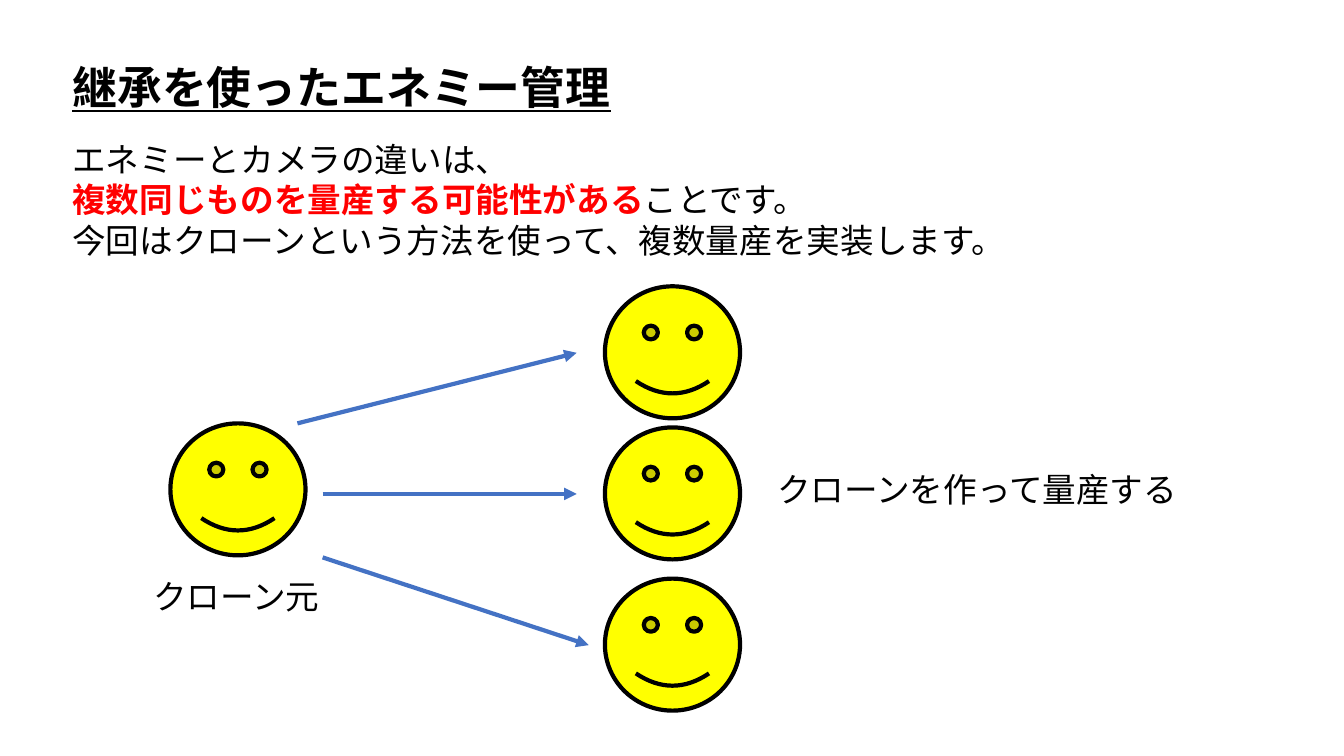
from lxml import etree
from pptx import Presentation
from pptx.dml.color import RGBColor
from pptx.enum.shapes import MSO_CONNECTOR, MSO_SHAPE
from pptx.enum.text import MSO_AUTO_SIZE
from pptx.oxml.ns import qn
from pptx.util import Inches, Pt

STRAIGHT = MSO_CONNECTOR.STRAIGHT
SMILEY = MSO_SHAPE.SMILEY_FACE
FIT_SHAPE = MSO_AUTO_SIZE.SHAPE_TO_FIT_TEXT

BLACK = RGBColor(0x00, 0x00, 0x00)
RED = RGBColor(0xFF, 0x00, 0x00)
YELLOW = RGBColor(0xFF, 0xFF, 0x00)
BLUE = RGBColor(0x44, 0x72, 0xC4)

FONT = "Noto Sans CJK JP"
LINE_WIDTH = Pt(3)
FACE_SIZE = (1.34, 1.31)

BODY = {"size": Pt(24), "name": FONT}
TITLE = {**BODY, "size": Pt(32), "bold": True, "underline": True}
EMPHASIS = {**BODY, "bold": True}

INTRODUCTION = [
    [("エネミーとカメラの違いは、", BODY, BLACK)],
    [("複数同じものを量産する可能性がある", EMPHASIS, RED),
     ("ことです。", BODY, BLACK)],
    [("今回はクローンという方法を使って、複数量産を実装します。", BODY, BLACK)],
]
ORIGINAL_FACE = (1.69, 4.2)
CLONE_LEFT = 6
CLONE_TOPS = (2.84, 4.24, 5.74)
ARROWS = [
    ((2.95, 4.2), (5.72, 3.5)),
    ((3.2, 4.9), (5.72, 4.9)),
    ((3.2, 5.53), (5.84, 6.4)),
]


def add_run(paragraph, text, font_format, color):
    run = paragraph.add_run()
    run.text = text
    for attribute, value in font_format.items():
        setattr(run.font, attribute, value)
    run.font.color.rgb = color
    # Japanese characters take their typeface from the East Asian font
    properties = run.font._element
    etree.SubElement(properties, qn("a:ea"), typeface=font_format["name"])


def add_text(slide, left, top, width, height, lines):
    """Add a text box with one paragraph for each list of runs in lines."""
    box = slide.shapes.add_textbox(
        Inches(left), Inches(top), Inches(width), Inches(height))
    frame = box.text_frame
    frame.word_wrap = False
    frame.auto_size = FIT_SHAPE
    for index, runs in enumerate(lines):
        paragraph = frame.add_paragraph() if index else frame.paragraphs[0]
        for run in runs:
            add_run(paragraph, *run)


def add_face(slide, left, top):
    width, height = FACE_SIZE
    face = slide.shapes.add_shape(
        SMILEY, Inches(left), Inches(top), Inches(width), Inches(height))
    face.shadow.inherit = False
    face.fill.solid()
    face.fill.fore_color.rgb = YELLOW
    face.line.color.rgb = BLACK
    face.line.width = LINE_WIDTH


def add_arrow(slide, start, end):
    arrow = slide.shapes.add_connector(
        STRAIGHT, *(Inches(value) for value in start + end))
    arrow.line.color.rgb = BLUE
    arrow.line.width = LINE_WIDTH
    etree.SubElement(arrow.line._get_or_add_ln(), qn("a:tailEnd"), type="triangle")
    etree.SubElement(arrow._element.spPr, qn("a:effectLst"))


def main():
    presentation = Presentation()
    presentation.slide_width = Inches(13.33)
    presentation.slide_height = Inches(7.5)
    slide = presentation.slides.add_slide(presentation.slide_layouts[6])

    add_text(slide, 0.62, 0.54, 5.59, 0.64,
             [[("継承を使ったエネミー管理", TITLE, BLACK)]])
    add_text(slide, 0.62, 1.33, 9.63, 1.31, INTRODUCTION)

    add_face(slide, *ORIGINAL_FACE)
    add_text(slide, 1.42, 5.66, 1.88, 0.5, [[("クローン元", BODY, BLACK)]])
    for start, end in ARROWS:
        add_arrow(slide, start, end)
    for top in CLONE_TOPS:
        add_face(slide, CLONE_LEFT, top)
    add_text(slide, 7.61, 4.6, 4.24, 0.5,
             [[("クローンを作って量産する", BODY, BLACK)]])

    presentation.save("out.pptx")


if __name__ == "__main__":
    main()
